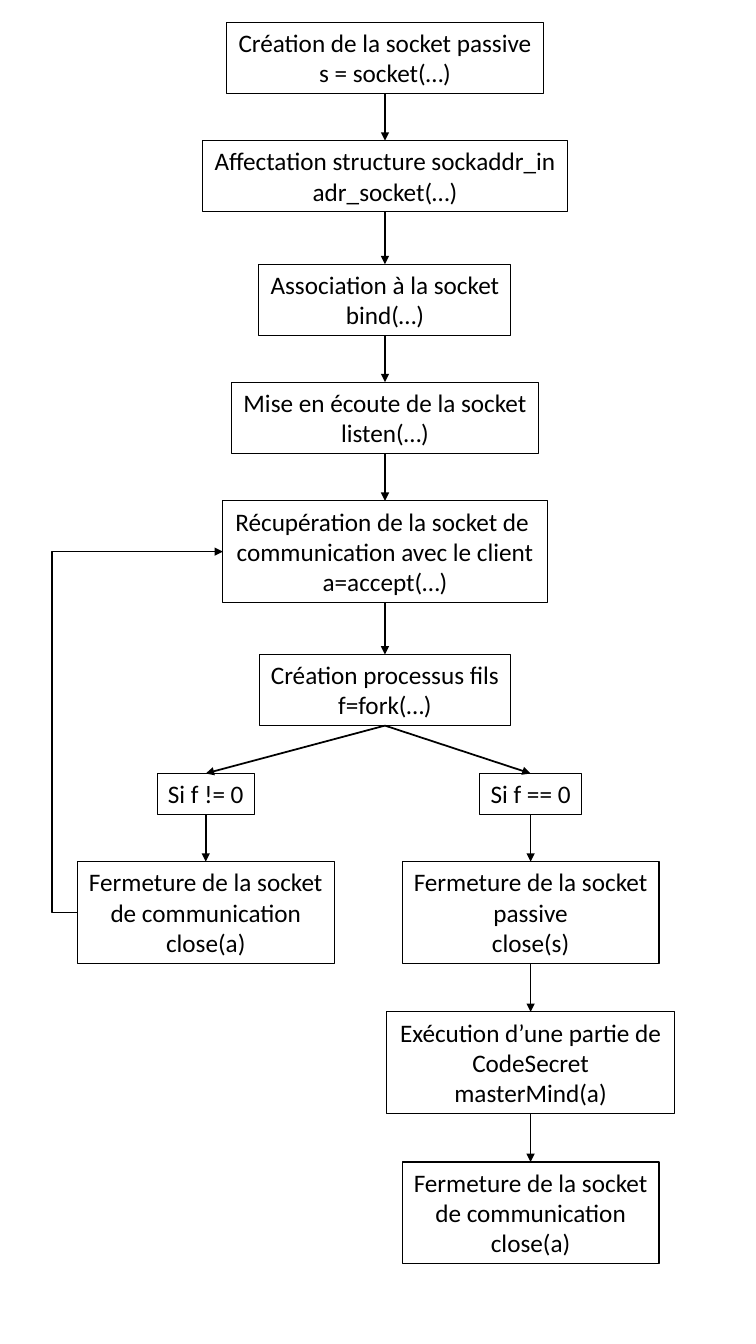
from lxml.etree import SubElement as sub
from pptx import Presentation
from pptx.dml.color import RGBColor as RGB
from pptx.enum.shapes import MSO_CONNECTOR as LINK
from pptx.enum.text import MSO_ANCHOR as ANCHOR, MSO_AUTO_SIZE as FIT, PP_ALIGN as ALIGN
from pptx.oxml.ns import qn
from pptx.util import Pt

COLOR = {"ink": "000000"}
FONT = "Calibri"
MAIN, LEFT, RIGHT = 275, 147, 379  # column centres
TOP, WEST, BASE = 0, 1, 2  # connection sites

# key: centre, top, width, lines of text
STEPS = {
    "create": (MAIN, 16, 226, ["Création de la socket passive", "s = socket(…)"]),
    "address": (MAIN, 100.5, 261, ["Affectation structure sockaddr_in", "adr_socket(…)"]),
    "bind": (MAIN, 188.75, 180, ["Association à la socket", "bind(…)"]),
    "listen": (MAIN, 273, 219.5, ["Mise en écoute de la socket", "listen(…)"]),
    "accept": (MAIN, 357.75, 231.5, ["Récupération de la socket de ",
                                    "communication avec le client", "a=accept(…)"]),
    "fork": (MAIN, 467.5, 179.5, ["Création processus fils", "f=fork(…)"]),
    "parent": (LEFT, 552.5, 69.5, ["Si f != 0"]),
    "child": (RIGHT, 552.5, 73, ["Si f == 0"]),
    "loop": (LEFT, 615.5, 183.5, ["Fermeture de la socket", "de communication", "close(a)"]),
    "passive": (RIGHT, 615.5, 183.5, ["Fermeture de la socket", "passive", "close(s)"]),
    "play": (RIGHT, 722.75, 205.5, ["Exécution d’une partie de", "CodeSecret", "masterMind(a)"]),
    "end": (RIGHT, 830, 183.5, ["Fermeture de la socket", "de communication", "close(a)"]),
}

# Chains of steps joined from base to top
CHAINS = [
    ["create", "address", "bind", "listen", "accept", "fork"],
    ["fork", "parent", "loop"],
    ["fork", "child", "passive", "play", "end"],
]


def ink(line, width):
    line.color.rgb = RGB.from_string(COLOR["ink"])
    line.width = Pt(width)


def add_box(slide, mid, top, width, lines):
    high = 7.2 + 21.8 * len(lines)
    box = slide.shapes.add_textbox(Pt(mid - width / 2), Pt(top), Pt(width), Pt(high))
    ink(box.line, 0.75)
    frame = box.text_frame
    frame.word_wrap = False
    frame.auto_size = FIT.SHAPE_TO_FIT_TEXT
    frame.vertical_anchor = ANCHOR.TOP
    for i, text in enumerate(lines):
        para = frame.add_paragraph() if i else frame.paragraphs[0]
        para.alignment = ALIGN.CENTER
        run = para.add_run()
        run.text = text
        run.font.size = Pt(18)
        run.font.name = FONT
        run.font.color.rgb = RGB.from_string(COLOR["ink"])
    return box


def add_arrow(slide, start, stop, kind=LINK.STRAIGHT, sites=(BASE, TOP)):
    arrow = slide.shapes.add_connector(kind, 0, 0, 0, 0)
    arrow.begin_connect(start, sites[0])
    arrow.end_connect(stop, sites[1])
    ink(arrow.line, 1.25)
    props = arrow.element.spPr
    sub(props.find(qn("a:ln")), qn("a:tailEnd"), type="triangle")
    sub(props, qn("a:effectLst"))
    return arrow


def add_return(slide, start, stop):
    arrow = add_arrow(slide, start, stop, LINK.ELBOW, (WEST, WEST))
    # Bend outside the boxes, to the left of the start
    bend = round(-Pt(18) / arrow.width * 100000)
    guides = arrow.element.spPr.find(qn("a:prstGeom")).find(qn("a:avLst"))
    sub(guides, qn("a:gd"), name="adj1", fmla=f"val {bend}")


def main():
    deck = Presentation()
    deck.slide_width, deck.slide_height = Pt(540), Pt(960)
    slide = deck.slides.add_slide(deck.slide_layouts[6])

    # Steps
    boxes = {key: add_box(slide, *step) for key, step in STEPS.items()}

    # Flow
    for chain in CHAINS:
        for start, stop in zip(chain, chain[1:]):
            add_arrow(slide, boxes[start], boxes[stop])

    # Back to waiting for a client
    add_return(slide, boxes["loop"], boxes["accept"])

    deck.save("out.pptx")


main()
